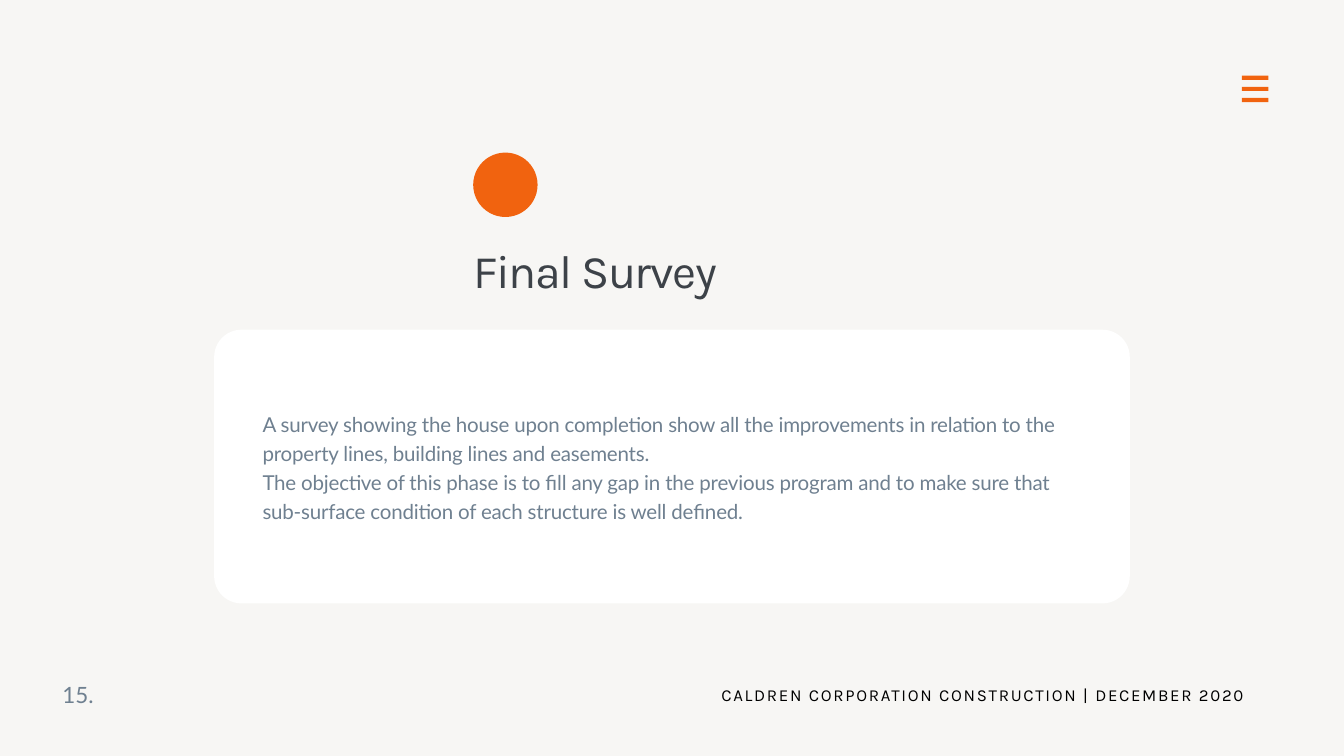
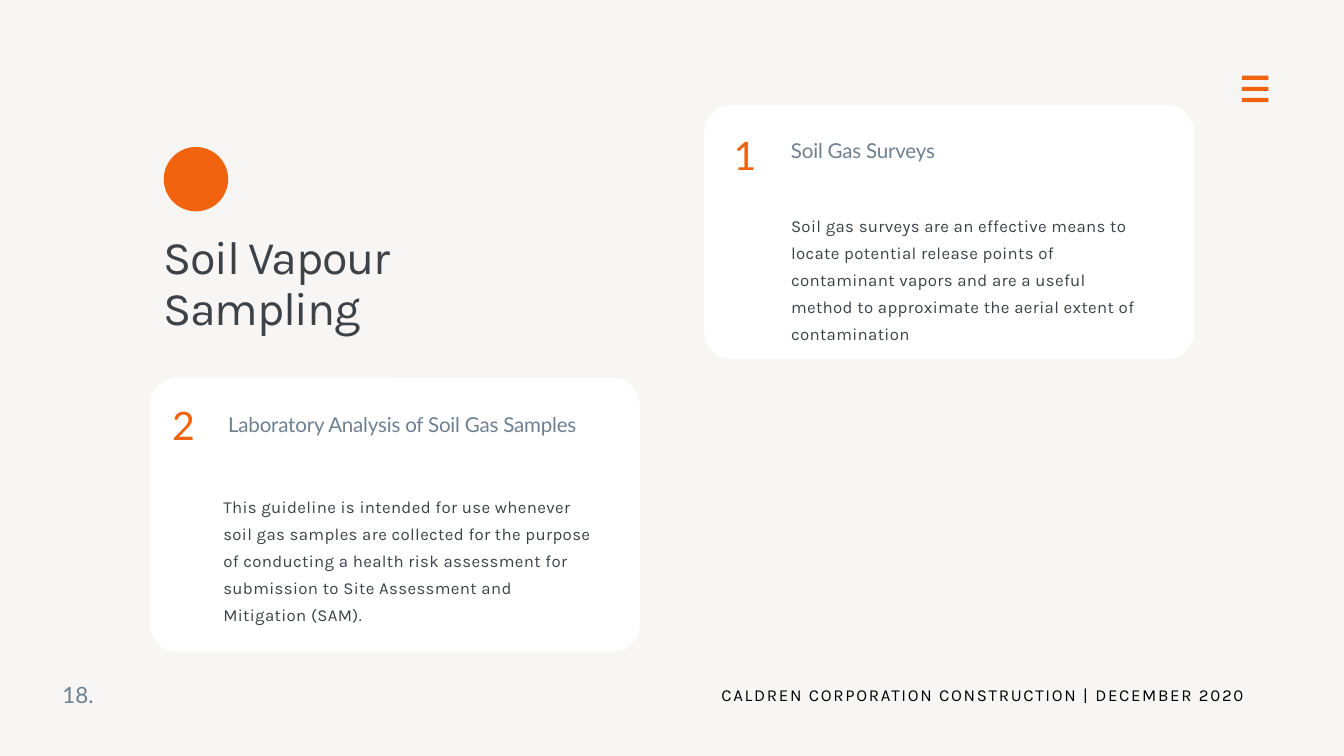
import pptx
import pptx.util
import pptx.dml.color
import pptx.enum.shapes
import pptx.enum.text

PX = 9525  # EMU per px, 96 px to the inch
COLORS = {"paper": "F7F6F4", "orange": "F1630F", "white": "FFFFFF",
          "slate": "6F8090", "ink": "3D4248", "black": "000000"}
# font, size, line height, letter spacing (all pt), colour
STYLES = {
    "title": ("Karla", 50, 55, -1.5, "ink"),
    "lead": ("Lato", 22, 30.8, -0.2, "slate"),
    "number": ("Lato", 42, 58.8, -0.4, "orange"),
    "detail": ("Karla", 18, 28.8, 0.4, "ink"),
    "page": ("Lato", 24, 33.6, 0, "slate"),
    "footer": ("Karla", 18, 25.2, 1.8, "black"),
}
CARD_RADIUS = 39
FOOTER = "CALDREN CORPORATION CONSTRUCTION | DECEMBER 2020"

SHAPES = pptx.enum.shapes.MSO_SHAPE

# Boxes are (left, top, width, height) in px
SLIDES = [
    {
        "page": "15.",
        "dot": (676, 218),
        "cards": [(306, 471, 1308, 391)],
        "texts": [
            ("lead", (375, 583, 1168, 162),
             "A survey showing the house upon completion show all the improvements "
             "in relation to the property lines, building lines and easements.\n"
             "The objective of this phase is to fill any gap in the previous program "
             "and to make sure that sub-surface condition of each structure is well "
             "defined."),
            ("title", (676, 352, 569, 76), "Final Survey"),
        ],
    },
    {
        "page": "18.",
        "dot": (234, 210),
        "cards": [(214, 540, 700, 391), (1006, 150, 700, 363)],
        "texts": [
            ("number", (246, 562, 81, 75), "2"),
            ("lead", (326, 583, 529, 39), "Laboratory Analysis of Soil Gas Samples"),
            ("detail", (319, 700, 529, 187),
             "This guideline is intended for use whenever soil gas samples are "
             "collected for the purpose of conducting a health risk assessment for "
             "submission to Site Assessment and Mitigation (SAM)."),
            ("number", (1048, 176, 81, 75), "1"),
            ("lead", (1130, 191, 529, 39), "Soil Gas Surveys"),
            ("detail", (1130, 299, 499, 187),
             "Soil gas surveys are an effective means to locate potential release "
             "points of contaminant vapors and are a useful method to approximate "
             "the aerial extent of contamination"),
            ("title", (234, 332, 569, 149), "Soil Vapour Sampling"),
        ],
    },
]


def add_filled(slide, preset, box, color):
    shape = slide.shapes.add_shape(preset, *(v * PX for v in box))
    shape.shadow.inherit = False
    shape.fill.solid()
    shape.fill.fore_color.rgb = pptx.dml.color.RGBColor.from_string(COLORS[color])
    shape.line.fill.background()
    return shape


def add_text(slide, style, box, text):
    font_name, size, line_height, spacing, color = STYLES[style]
    frame = slide.shapes.add_textbox(*(v * PX for v in box)).text_frame
    frame.word_wrap = True
    frame.margin_left = frame.margin_top = frame.margin_right = frame.margin_bottom = 0
    frame.text = text
    for paragraph in frame.paragraphs:
        paragraph.line_spacing = pptx.util.Pt(line_height)
        if style == "footer":
            paragraph.alignment = pptx.enum.text.PP_ALIGN.CENTER
        for run in paragraph.runs:
            run.font.name = font_name
            run.font.size = pptx.util.Pt(size)
            run.font.color.rgb = pptx.dml.color.RGBColor.from_string(COLORS[color])
            run.font._element.set("spc", str(round(spacing * 100)))


deck = pptx.Presentation()
deck.slide_width, deck.slide_height = 1920 * PX, 1080 * PX

for content in SLIDES:
    slide = deck.slides.add_slide(deck.slide_layouts[6])
    slide.background.fill.solid()
    slide.background.fill.fore_color.rgb = pptx.dml.color.RGBColor.from_string(COLORS["paper"])

    for bar in range(3):
        add_filled(slide, SHAPES.RECTANGLE, (1774, 108 + 16 * bar, 38, 6), "orange")

    for box in content["cards"]:
        card = add_filled(slide, SHAPES.ROUNDED_RECTANGLE, box, "white")
        card.adjustments[0] = CARD_RADIUS / min(box[2:])

    add_filled(slide, SHAPES.OVAL, (*content["dot"], 92, 92), "orange")

    for style, box, text in content["texts"]:
        add_text(slide, style, box, text)

    add_text(slide, "page", (89, 967, 461, 42), content["page"])
    add_text(slide, "footer", (1014, 973, 780, 33), FOOTER)

deck.save("out.pptx")
